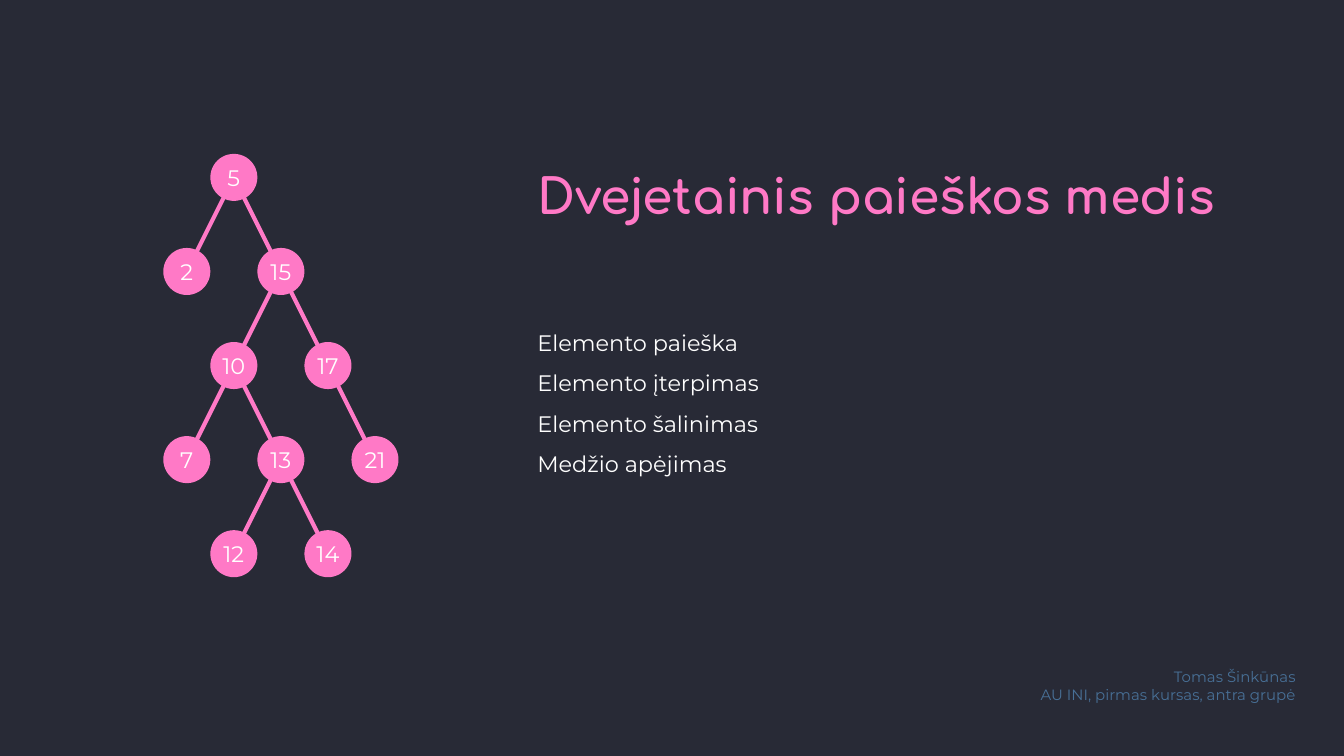
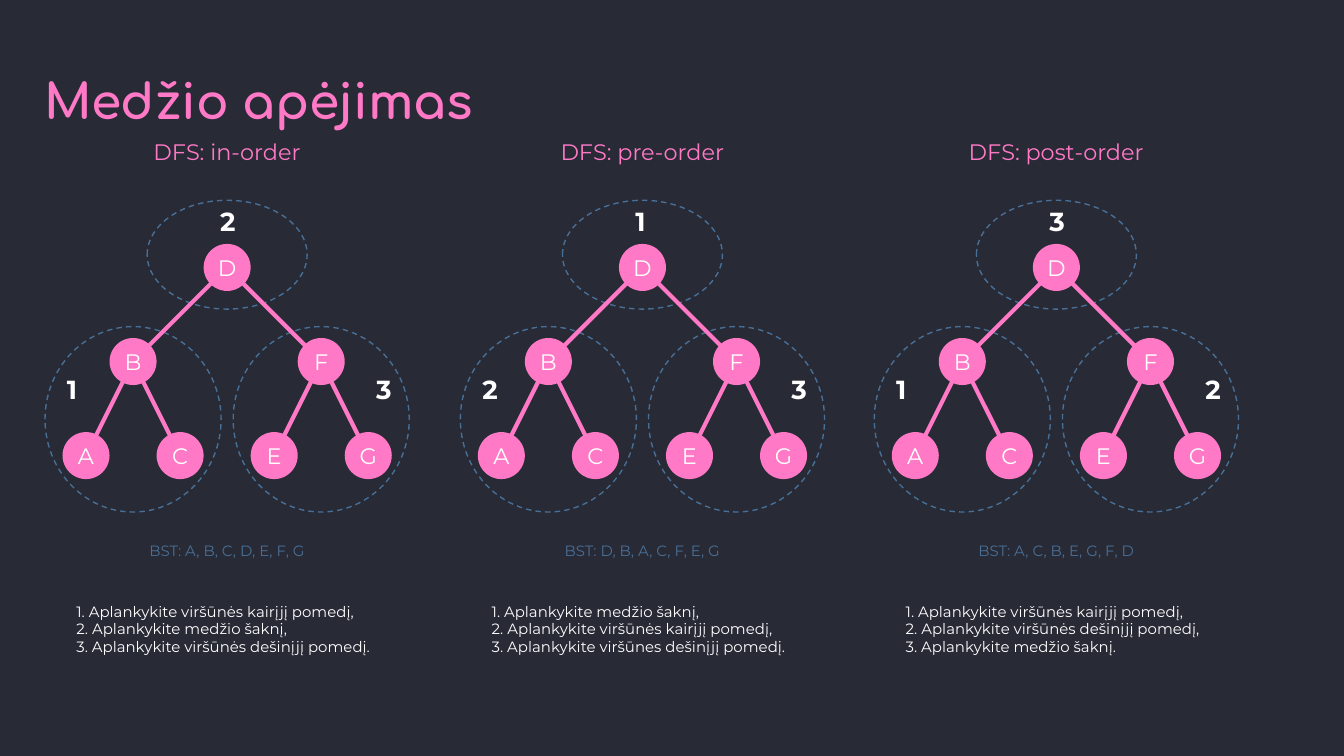
from dataclasses import dataclass

from lxml.etree import SubElement
from pptx import Presentation
from pptx.dml.color import RGBColor
from pptx.enum.dml import MSO_LINE
from pptx.enum.shapes import MSO_CONNECTOR, MSO_SHAPE
from pptx.enum.text import MSO_ANCHOR, MSO_AUTO_SIZE, PP_ALIGN
from pptx.oxml.ns import qn
from pptx.util import Inches, Pt


@dataclass(frozen=True)
class Theme:
    """Colours, fonts and sizes shared by the slides."""

    background: RGBColor = RGBColor(0x28, 0x2A, 0x36)
    pink: RGBColor = RGBColor(0xFF, 0x79, 0xC6)
    blue: RGBColor = RGBColor(0x48, 0x70, 0x97)
    white: RGBColor = RGBColor(0xFF, 0xFF, 0xFF)
    title_font: str = "Comfortaa"
    body_font: str = "Montserrat"
    title_size: int = 26
    rank_size: int = 14
    body_size: int = 12
    small_size: int = 8
    branch_width: float = 2.25
    zone_width: float = 0.75
    node: float = 0.35
    column_step: float = 0.35
    row_step: float = 0.7


THEME = Theme()

SEARCH_NODES = {
    "5": (0, 0), "2": (-1, 1), "15": (1, 1), "10": (0, 2), "17": (2, 2),
    "7": (-1, 3), "13": (1, 3), "21": (3, 3), "12": (0, 4), "14": (2, 4),
}
SEARCH_BRANCHES = [("5", "2"), ("5", "21"), ("15", "10"),
                   ("10", "7"), ("10", "14"), ("13", "12")]

LETTER_NODES = {
    "D": (0, 0), "B": (-2, 1), "F": (2, 1),
    "A": (-3, 2), "C": (-1, 2), "E": (1, 2), "G": (3, 2),
}
LETTER_BRANCHES = ["DF", "DB", "BA", "BC", "FG", "FE"]

TRAVERSAL_CENTRES = [1.69, 4.78, 7.86]
ZONES = [(0, 1.49, 1.19, 0.81), (-0.7, 2.43, 1.31, 1.38), (0.7, 2.43, 1.31, 1.38)]
RANK_PLACES = [(-0.15, 1.43), (-1.29, 2.68), (1.01, 2.68)]

TRAVERSALS = [
    ("in-order", "213", "ABCDEFG",
     ["Aplankykite viršūnės kairįjį pomedį,",
      "Aplankykite medžio šaknį,",
      "Aplankykite viršūnės dešinįjį pomedį."]),
    ("pre-order", "123", "DBACFEG",
     ["Aplankykite medžio šaknį,",
      "Aplankykite viršūnės kairįjį pomedį,",
      "Aplankykite viršūnes dešinįjį pomedį."]),
    ("post-order", "312", "ACBEGFD",
     ["Aplankykite viršūnės kairįjį pomedį,",
      "Aplankykite viršūnės dešinįjį pomedį,",
      "Aplankykite medžio šaknį."]),
]


def write(tf, lines, size=THEME.body_size, color=THEME.white, font=THEME.body_font,
          bold=False, align=PP_ALIGN.LEFT, spacing=None, inset=0.1):
    """Fill a text frame with one paragraph per line."""
    tf.word_wrap = True
    tf.margin_left = tf.margin_right = Inches(inset)
    tf.margin_top = tf.margin_bottom = Inches(inset)
    for i, line in enumerate(lines):
        p = tf.paragraphs[0] if i == 0 else tf.add_paragraph()
        p.alignment = align
        if spacing:
            p.line_spacing = spacing
        r = p.add_run()
        r.text = line
        r.font.size = Pt(size)
        r.font.name = font
        r.font.bold = bold
        r.font.color.rgb = color


def add_text(s, box, lines, grow=False, **style):
    """Add a text box."""
    tf = s.shapes.add_textbox(*map(Inches, box)).text_frame
    write(tf, lines, **style)
    tf.auto_size = MSO_AUTO_SIZE.SHAPE_TO_FIT_TEXT if grow else MSO_AUTO_SIZE.NONE


def add_title(s, box, title):
    """Add a slide title."""
    add_text(s, box, [title], size=THEME.title_size, color=THEME.pink,
             font=THEME.title_font, bold=True, spacing=1.5)


def add_ellipse(s, x, y, w, h):
    """Add an ellipse without a shadow."""
    sp = s.shapes.add_shape(MSO_SHAPE.OVAL, *map(Inches, (x, y, w, h)))
    sp.shadow.inherit = False
    return sp


def add_node(s, x, y, label):
    """Add a tree node centred on a point."""
    d = THEME.node
    sp = add_ellipse(s, x - d / 2, y - d / 2, d, d)
    sp.fill.solid()
    sp.fill.fore_color.rgb = THEME.pink
    sp.line.fill.background()
    write(sp.text_frame, [label], align=PP_ALIGN.CENTER, inset=0)
    sp.text_frame.vertical_anchor = MSO_ANCHOR.MIDDLE


def add_branch(s, start, end):
    """Add a straight branch between two points."""
    c = s.shapes.add_connector(MSO_CONNECTOR.STRAIGHT, *map(Inches, (*start, *end)))
    c.line.color.rgb = THEME.pink
    c.line.width = Pt(THEME.branch_width)
    SubElement(c._element.spPr, qn("a:effectLst"))


def add_tree(s, x, y, nodes, branches):
    """Draw a tree whose root is centred on a point."""
    centres = {label: (x + col * THEME.column_step, y + row * THEME.row_step)
               for label, (col, row) in nodes.items()}
    for parent, child in branches:
        add_branch(s, centres[parent], centres[child])
    for label, centre in centres.items():
        add_node(s, *centre, label)


def add_zone(s, x, y, w, h):
    """Add a dashed outline around one part of a tree."""
    sp = add_ellipse(s, x - w / 2, y, w, h)
    sp.fill.background()
    sp.line.color.rgb = THEME.blue
    sp.line.width = Pt(THEME.zone_width)
    sp.line.dash_style = MSO_LINE.DASH


def add_traversal(s, x, order, ranks, visited, steps):
    """Draw one traversal column around its centre."""
    for dx, y, w, h in ZONES:
        add_zone(s, x + dx, y, w, h)
    for (dx, y), rank in zip(RANK_PLACES, ranks):
        add_text(s, (x + dx, y, 0.25, 0.44), [rank], grow=True,
                 size=THEME.rank_size, bold=True, align=PP_ALIGN.CENTER)
    add_tree(s, x, 1.99, LETTER_NODES, LETTER_BRANCHES)
    add_text(s, (x - 1, 0.93, 2, 0.4), [f"DFS: {order}"], grow=True,
             color=THEME.pink, align=PP_ALIGN.CENTER)
    add_text(s, (x - 0.7, 3.96, 1.4, 0.34), ["BST: " + ", ".join(visited)], grow=True,
             size=THEME.small_size, color=THEME.blue, align=PP_ALIGN.CENTER)
    add_text(s, (x - 1.22, 4.38, 2.46, 0.61),
             [f"{i}. {step}" for i, step in enumerate(steps, 1)],
             grow=True, size=THEME.small_size)


def new_slide(prs):
    """Add a blank slide with the dark background."""
    s = prs.slides.add_slide(prs.slide_layouts[6])
    s.background.fill.solid()
    s.background.fill.fore_color.rgb = THEME.background
    return s


def build_cover(prs):
    """Build the opening slide."""
    s = new_slide(prs)
    add_title(s, (3.9, 0.92, 5.46, 0.7), "Dvejetainis paieškos medis")
    add_tree(s, 1.74, 1.32, SEARCH_NODES, SEARCH_BRANCHES)
    add_text(s, (3.9, 2.25, 3.05, 1.5),
             ["Elemento paieška", "Elemento įterpimas",
              "Elemento šalinimas", "Medžio apėjimas"], spacing=1.5)
    add_text(s, (7.35, 4.87, 2.39, 0.47),
             ["Tomas Šinkūnas", "AU INI, pirmas kursas, antra grupė"], grow=True,
             size=THEME.small_size, color=THEME.blue, align=PP_ALIGN.RIGHT)


def build_traversals(prs):
    """Build the slide that compares the traversals."""
    s = new_slide(prs)
    add_title(s, (0.23, 0.21, 4.39, 0.57), "Medžio apėjimas")
    for x, traversal in zip(TRAVERSAL_CENTRES, TRAVERSALS):
        add_traversal(s, x, *traversal)


def main():
    """Build and save the presentation."""
    prs = Presentation()
    prs.slide_width = Inches(10)
    prs.slide_height = prs.slide_width * 9 // 16
    build_cover(prs)
    build_traversals(prs)
    prs.save("out.pptx")


if __name__ == "__main__":
    main()
